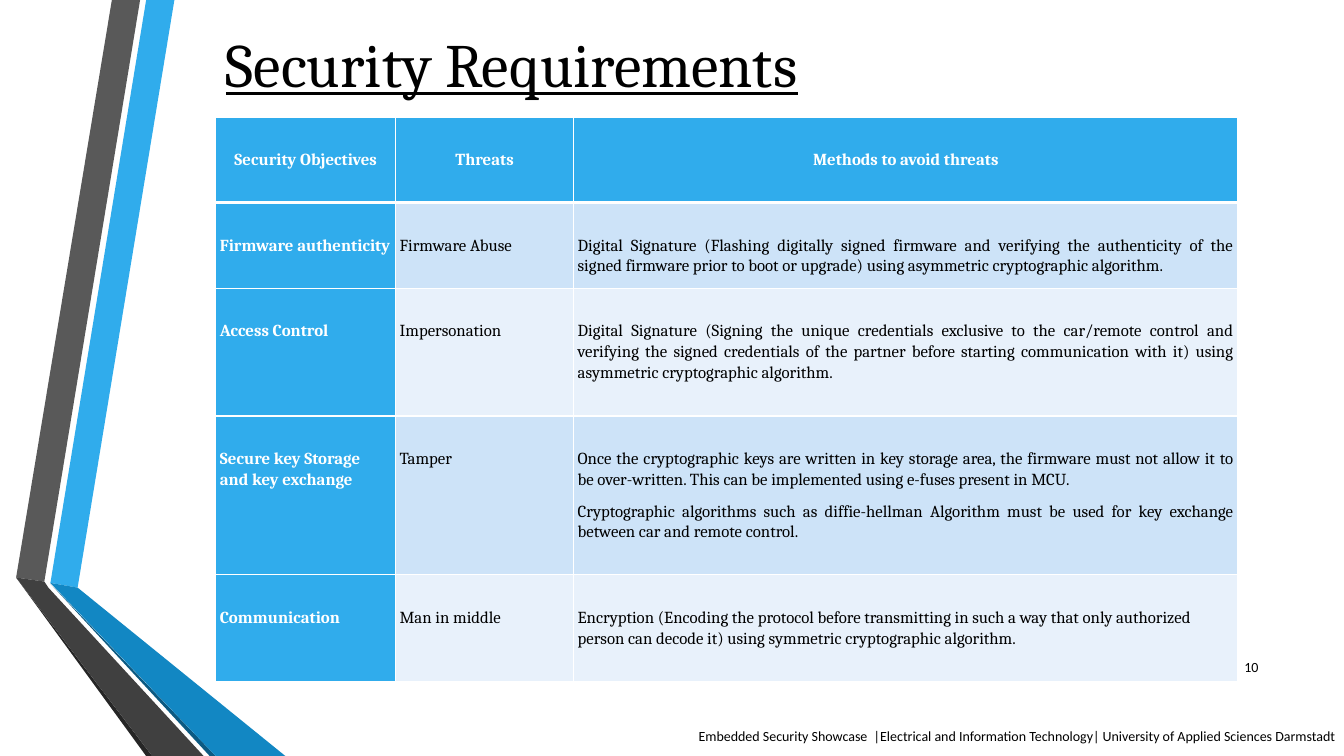
from lxml.etree import SubElement
from pptx import Presentation
from pptx.dml.color import RGBColor
from pptx.enum.text import MSO_ANCHOR, MSO_AUTO_SIZE, PP_ALIGN
from pptx.oxml.ns import qn
from pptx.util import Inches, Pt

COLUMNS, ROWS = 160, 90
WHITE, BLACK, BLUE = "FFFFFF", "000000", "30ACEC"
STRIPES = ("CDE3F8", "E8F1FB")

BANDS = [
    (BLUE, [(6, 69.4), (9.24, 69.96), (20.76, 0), (17.4, 0)]),
    ("595959", [(16.68, 0), (13.32, 0), (1.92, 68.76), (5.28, 69.24)]),
    ("262626", [(1.92, 68.76), (17.4, 90), (18.12, 90)]),
    ("0C5A82", [(6, 69.48), (24.96, 90), (25.68, 90)]),
    ("1287C3", [(6, 69.4), (25.68, 90), (33.96, 90), (9.24, 69.96)]),
    ("404040", [(24.24, 90), (5.76, 69.96), (5.28, 69.24), (1.92, 68.76), (18.12, 90)]),
]

HEADINGS = ("Security Objectives", "Threats", "Methods to avoid threats")
REQUIREMENTS = [
    ("Firmware authenticity", "Firmware Abuse",
     "Digital Signature (Flashing digitally signed firmware and verifying the authenticity "
     "of the signed firmware prior to boot or upgrade) using asymmetric cryptographic algorithm."),
    ("Access Control", "Impersonation",
     "Digital Signature (Signing the unique credentials exclusive to the car/remote control and "
     "verifying the signed credentials of the partner before starting communication with it) "
     "using asymmetric cryptographic algorithm."),
    ("Secure key Storage and key exchange", "Tamper",
     "Once the cryptographic keys are written in key storage area, the firmware must not allow it "
     "to be over-written. This can be implemented using e-fuses present in MCU.\n"
     "Cryptographic algorithms such as diffie-hellman Algorithm must be used for key exchange "
     "between car and remote control."),
    ("Communication", "Man in middle",
     "Encryption (Encoding the protocol before transmitting in such a way that only authorized "
     "person can decode it) using symmetric cryptographic algorithm."),
]


def color(hex_code):
    return RGBColor.from_string(hex_code)


class SlideBuilder:
    heading_font = "Cambria"
    small_font = "Calibri"

    def __init__(self, deck):
        self.slide = deck.slides.add_slide(deck.slide_layouts[5])
        self.column = deck.slide_width / COLUMNS
        self.row = deck.slide_height / ROWS

    def x(self, columns):
        return round(columns * self.column)

    def y(self, rows):
        return round(rows * self.row)

    def box(self, left, top, width, height):
        return self.x(left), self.y(top), self.x(width), self.y(height)

    def style(self, paragraph, name, size, shade=BLACK, bold=False, align=PP_ALIGN.LEFT):
        paragraph.alignment = align
        font = paragraph.font
        font.name, font.size, font.bold = name, Pt(size), bold
        font.color.rgb = color(shade)

    def title(self, text, *place):
        heading = self.slide.shapes.title
        heading.left, heading.top, heading.width, heading.height = self.box(*place)
        frame = heading.text_frame
        frame.text = text
        frame.auto_size = MSO_AUTO_SIZE.NONE
        frame.vertical_anchor = MSO_ANCHOR.MIDDLE
        self.style(frame.paragraphs[0], self.heading_font, 44)
        frame.paragraphs[0].font.underline = True

    def band(self, shade, corners):
        points = [(self.x(across), self.y(down)) for across, down in corners]
        outline = self.slide.shapes.build_freeform(*points[0])
        outline.add_line_segments(points[1:], close=True)
        band = outline.convert_to_shape()
        band.shadow.inherit = False
        band.fill.solid()
        band.fill.fore_color.rgb = color(shade)
        band.line.fill.background()

    def small_text(self, text, *place):
        frame = self.slide.shapes.add_textbox(*self.box(*place)).text_frame
        frame.word_wrap = True
        frame.vertical_anchor = MSO_ANCHOR.MIDDLE
        frame.text = text
        self.style(frame.paragraphs[0], self.small_font, 10, align=PP_ALIGN.RIGHT)

    def borders(self, cell, top, bottom):
        properties = cell._tc.get_or_add_tcPr()
        for side, width in (("L", 1), ("R", 1), ("T", top), ("B", bottom)):
            edge = SubElement(properties, qn(f"a:ln{side}"), w=str(Pt(width)))
            paint = SubElement(edge, qn("a:solidFill"))
            SubElement(paint, qn("a:srgbClr"), val=WHITE)

    def cell(self, cell, text, fill, shade, bold, align, top=1, bottom=1):
        self.borders(cell, top, bottom)
        cell.fill.solid()
        cell.fill.fore_color.rgb = color(fill)
        cell.margin_left = cell.margin_right = Inches(0.04)
        cell.margin_top, cell.margin_bottom = self.y(3.84), 0
        cell.text = text
        for paragraph in cell.text_frame.paragraphs:
            self.style(paragraph, self.heading_font, 12, shade, bold, align)
            paragraph.line_spacing = 1.07
            paragraph.space_after = Pt(8)

    def table(self, left, top, widths, heights):
        place = self.box(left, top, sum(widths), sum(heights))
        table = self.slide.shapes.add_table(len(heights), len(widths), *place).table
        for column, width in zip(table.columns, widths):
            column.width = self.x(width)
        for row, height in zip(table.rows, heights):
            row.height = self.y(height)
        for c, heading in enumerate(HEADINGS):
            self.cell(table.cell(0, c), heading, BLUE, WHITE, True, PP_ALIGN.CENTER, bottom=3)
        for r, requirement in enumerate(REQUIREMENTS, 1):
            stripe = STRIPES[(r - 1) % 2]
            upper = 3 if r == 1 else 1
            objective, threat, method = requirement
            method_align = PP_ALIGN.LEFT if objective == "Communication" else PP_ALIGN.JUSTIFY
            self.cell(table.cell(r, 0), objective, BLUE, WHITE, True, PP_ALIGN.LEFT, upper)
            self.cell(table.cell(r, 1), threat, stripe, BLACK, False, PP_ALIGN.LEFT, upper)
            self.cell(table.cell(r, 2), method, stripe, BLACK, False, method_align, upper)


def main():
    deck = Presentation()
    deck.slide_width, deck.slide_height = Inches(13.33), Inches(7.5)
    builder = SlideBuilder(deck)
    for shade, corners in BANDS:
        builder.band(shade, corners)
    builder.title("Security Requirements", 25.7, 3.84, 131.5, 7.32)
    builder.small_text(
        "Embedded Security Showcase  |Electrical and Information Technology| "
        "University of Applied Sciences Darmstadt", 67.1, 85.2, 93, 4.8)
    builder.table(25.7, 13.92, (21.4, 21.2, 79.1), (10.2, 10.2, 15.2, 18.9, 12.7))
    builder.small_text("10", 143.8, 77.04, 7.2, 4.8)
    deck.save("out.pptx")


if __name__ == "__main__":
    main()
